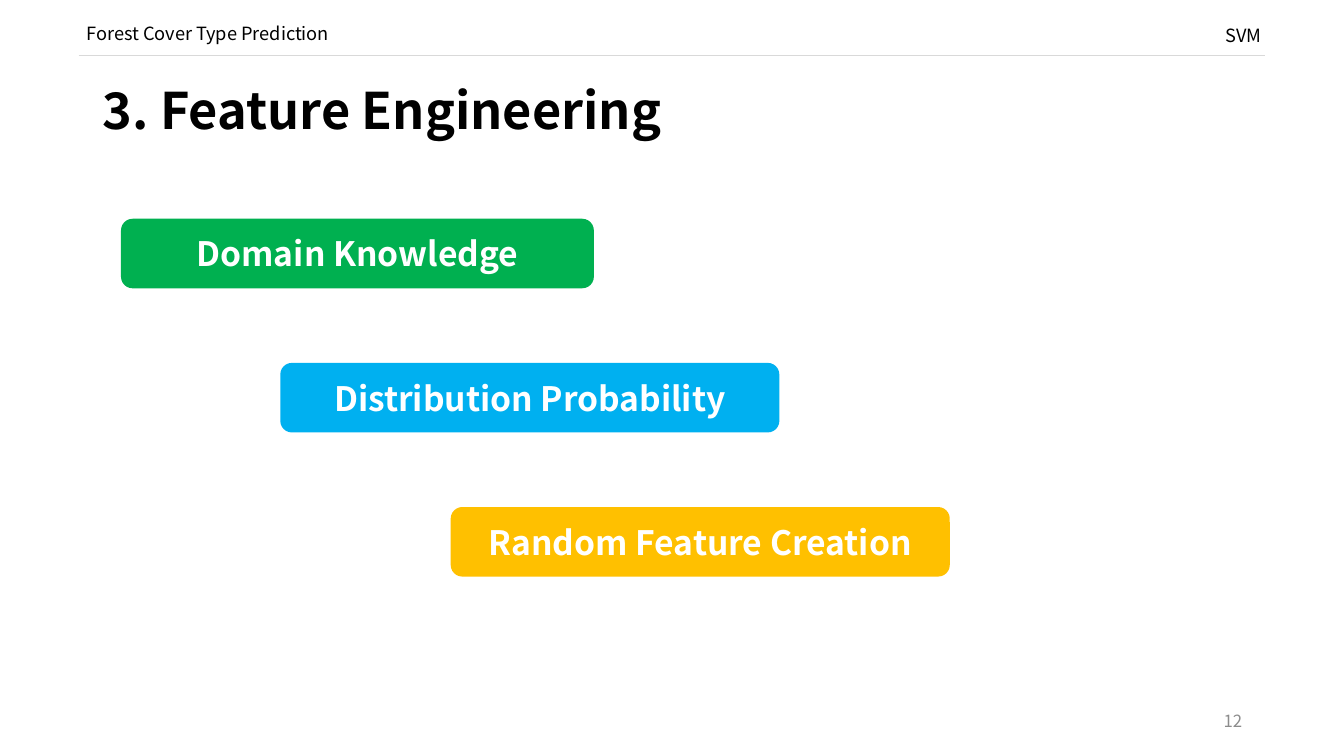
import pptx
import pptx.util
import pptx.dml.color
import pptx.enum.shapes
import pptx.enum.text
import pptx.oxml.ns
import lxml.etree

Inches = pptx.util.Inches
RGBColor = pptx.dml.color.RGBColor
ALIGN = pptx.enum.text.PP_ALIGN
ANCHOR = pptx.enum.text.MSO_ANCHOR

BLACK = RGBColor(0x00, 0x00, 0x00)
WHITE = RGBColor(0xFF, 0xFF, 0xFF)
GRAY = RGBColor(0x8C, 0x8C, 0x8C)
RULE = RGBColor(0xD9, 0xD9, 0xD9)
GREEN = RGBColor(0x00, 0xB0, 0x50)
BLUE = RGBColor(0x00, 0xB0, 0xF0)
AMBER = RGBColor(0xFF, 0xC0, 0x00)


class Deck:
    font = "Noto Sans CJK KR"

    def __init__(self, width, height):
        self.prs = pptx.Presentation()
        self.prs.slide_width = Inches(width)
        self.prs.slide_height = Inches(height)
        self.s = self.prs.slides.add_slide(self.prs.slide_layouts[5])

    def set_text(self, sp, text, size, color, bold=False, align=ALIGN.LEFT,
                 anchor=ANCHOR.MIDDLE, spacing=1.0):
        tf = sp.text_frame
        tf.word_wrap = True
        tf.auto_size = pptx.enum.text.MSO_AUTO_SIZE.NONE
        tf.vertical_anchor = anchor
        p = tf.paragraphs[0]
        p.alignment = align
        p.line_spacing = spacing
        r = p.add_run()
        r.text = text
        style = {"name": self.font, "size": pptx.util.Pt(size), "bold": bold}
        for name, value in style.items():
            setattr(r.font, name, value)
        r.font.color.rgb = color

    def title(self, box, text):
        sp = self.s.shapes.title
        for name, value in zip(("left", "top", "width", "height"), box):
            setattr(sp, name, Inches(value))
        self.set_text(sp, text, 36, BLACK, bold=True, spacing=0.9)

    def text(self, box, text, size, color, **kw):
        sp = self.s.shapes.add_textbox(*map(Inches, box))
        self.set_text(sp, text, size, color, **kw)

    def line(self, start, end, color, width):
        c = self.s.shapes.add_connector(
            pptx.enum.shapes.MSO_CONNECTOR.STRAIGHT, *map(Inches, start + end))
        c.line.color.rgb = color
        c.line.width = pptx.util.Pt(width)
        lxml.etree.SubElement(c._element.spPr, pptx.oxml.ns.qn("a:effectLst"))

    def banner(self, box, text, fill):
        sp = self.s.shapes.add_shape(
            pptx.enum.shapes.MSO_SHAPE.ROUNDED_RECTANGLE, *map(Inches, box))
        sp.shadow.inherit = False
        sp.fill.solid()
        sp.fill.fore_color.rgb = fill
        sp.line.fill.background()
        self.set_text(sp, text, 24, WHITE, bold=True, align=ALIGN.CENTER)


def main():
    deck = Deck(13.33, 7.5)

    # Title and page number
    deck.title((0.92, 0.4, 11.5, 1.45), "3. Feature Engineering")
    deck.text((9.42, 6.95, 3, 0.4), "12", 12, GRAY, align=ALIGN.RIGHT)

    # Header strip
    deck.line((0.78, 0.55), (12.55, 0.55), RULE, 0.5)
    deck.text((0.76, 0.17, 5.12, 0.32), "Forest Cover Type Prediction", 13, BLACK,
              anchor=ANCHOR.TOP)
    deck.text((7.49, 0.19, 5.12, 0.32), "SVM", 13, BLACK,
              align=ALIGN.RIGHT, anchor=ANCHOR.TOP)

    # Descending steps
    steps = [
        (1.2, 4.69, "Domain Knowledge", GREEN),
        (2.78, 4.95, "Distribution Probability", BLUE),
        (4.47, 4.95, "Random Feature Creation", AMBER),
    ]
    for i, (left, width, text, fill) in enumerate(steps):
        deck.banner((left, 2.17 + 1.43 * i, width, 0.69), text, fill)

    deck.prs.save("out.pptx")


if __name__ == "__main__":
    main()
